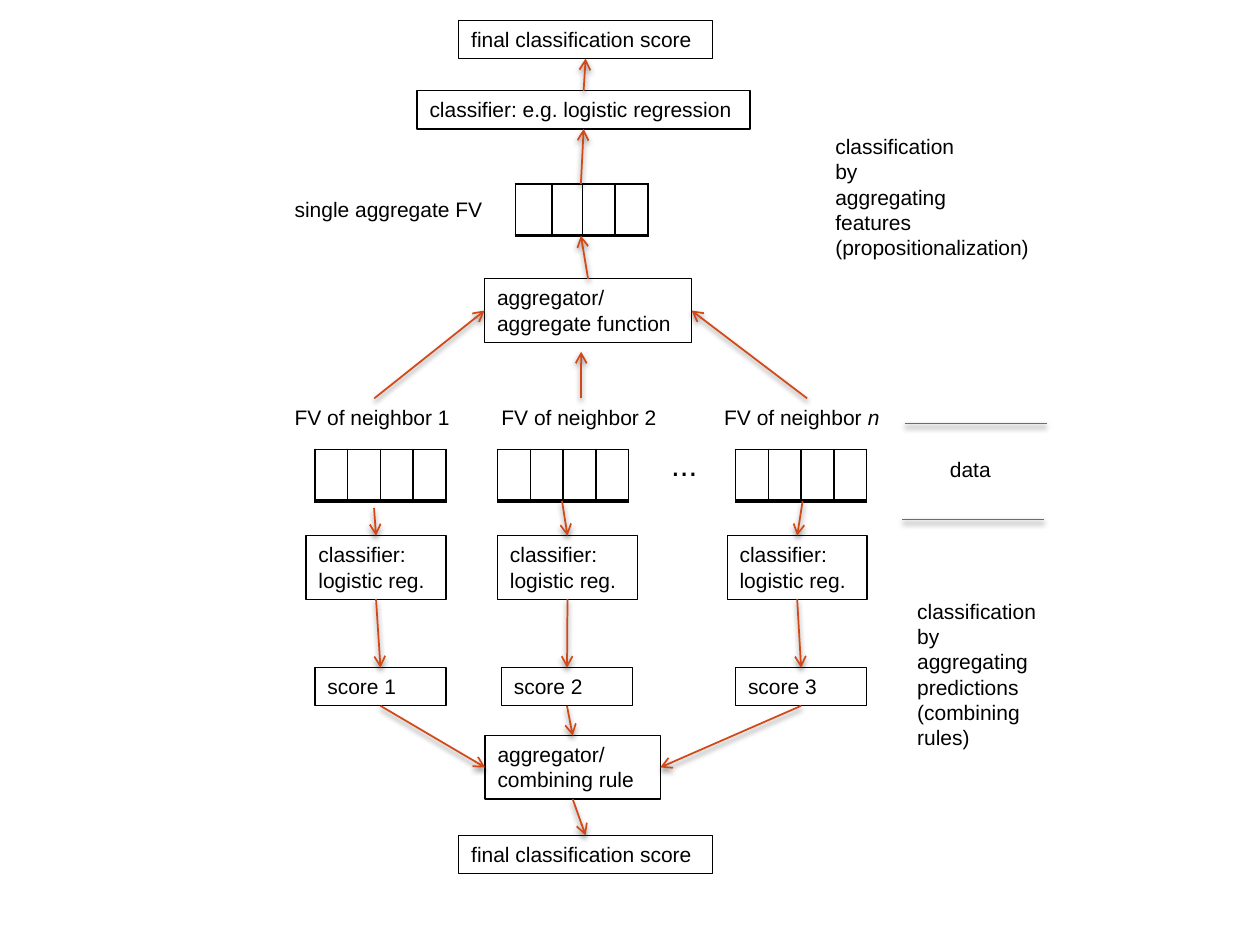
from dataclasses import dataclass

from lxml import etree
from pptx import Presentation
from pptx import util as u
from pptx.dml.color import RGBColor
from pptx.enum import shapes, text
from pptx.oxml import ns

COLORS = {"ink": "000000", "arrow": "D34817", "shadow": "000000"}
FONT = "Arial"
LINE_H, DOUBLE_H, VECTOR_H = 0.77, 1.28, 1.04
VECTOR_W = 2.64
CELLS = 4


@dataclass
class Box:
    """A rectangle in centimetres with its edge midpoints."""
    left: float
    top: float
    width: float
    height: float

    def inner(self, dx, dy, width, height):
        return Box(self.left + dx, self.top + dy, width, height)

    def point(self, fx, fy):
        return self.left + fx * self.width, self.top + fy * self.height

    def cm(self):
        return [u.Cm(v) for v in (self.left, self.top, self.width, self.height)]


TOP, BOTTOM, LEFT, RIGHT = (0.5, 0), (0.5, 1), (0, 0.5), (1, 0.5)


def write(frame, lines, size=12, wrap=True):
    """Fill a text frame; a line is a string or a list of (text, italic) runs."""
    frame.word_wrap = wrap
    frame.vertical_anchor = text.MSO_ANCHOR.TOP
    for index, line in enumerate(lines):
        paragraph = frame.paragraphs[0] if index == 0 else frame.add_paragraph()
        paragraph.alignment = text.PP_ALIGN.LEFT
        for content, italic in [(line, False)] if isinstance(line, str) else line:
            run = paragraph.add_run()
            run.text = content
            run.font.name = FONT
            run.font.size = u.Pt(size)
            run.font.color.rgb = RGBColor.from_string(COLORS["ink"])
            if italic:
                run.font.italic = True


def label(slide, box, *lines, **style):
    """Place plain text in the box."""
    write(slide.shapes.add_textbox(*box.cm()).text_frame, lines, **style)
    return box


def step(slide, box, *lines):
    """Place an outlined process step in the box."""
    shape = slide.shapes.add_shape(shapes.MSO_SHAPE.RECTANGLE, *box.cm())
    shape.shadow.inherit = False
    shape.fill.background()
    shape.line.color.rgb = RGBColor.from_string(COLORS["ink"])
    shape.line.width = u.Pt(0.75)
    write(shape.text_frame, lines)
    return box


def vector(slide, box, widths=None):
    """Place a feature vector as a one-row table in the box."""
    table = slide.shapes.add_table(1, CELLS, *box.cm()).table
    table.first_row = table.horz_banding = False
    for column, width in zip(table.columns, widths or [box.width / CELLS] * CELLS):
        column.width = u.Cm(width)
    for cell in table.rows[0].cells:
        cell.fill.background()
        properties = cell._tc.get_or_add_tcPr()
        for index, (side, points) in enumerate(
                [("lnL", 1), ("lnR", 1), ("lnT", 1), ("lnB", 2)]):
            border = etree.Element(ns.qn("a:" + side), w=str(u.Pt(points)))
            fill = etree.SubElement(border, ns.qn("a:solidFill"))
            etree.SubElement(fill, ns.qn("a:srgbClr"), val=COLORS["ink"])
            properties.insert(index, border)
    return box


def line(slide, start, end, arrow=True):
    """Draw a softly shadowed line between two points, with an optional head."""
    connector = slide.shapes.add_connector(
        shapes.MSO_CONNECTOR.STRAIGHT, *[u.Cm(v) for v in (*start, *end)])
    connector.line.color.rgb = RGBColor.from_string(COLORS["arrow"])
    connector.line.width = u.Pt(1)
    if arrow:
        etree.SubElement(connector.line._get_or_add_ln(), ns.qn("a:tailEnd"),
                         type="arrow")
    effects = etree.SubElement(connector._element.spPr, ns.qn("a:effectLst"))
    shadow = etree.SubElement(effects, ns.qn("a:outerShdw"), blurRad=str(u.Pt(3)),
                              dist=str(u.Pt(2)), dir="5400000", rotWithShape="0")
    color = etree.SubElement(shadow, ns.qn("a:srgbClr"), val=COLORS["shadow"])
    etree.SubElement(color, ns.qn("a:alpha"), val="50000")


def feature_region(slide, box):
    """Build the upward flow over aggregated features; return the aggregator."""
    score = step(slide, box.inner(3.56, 0, 5.11, LINE_H), "final classification score")
    classifier = step(slide, box.inner(2.72, 1.42, 6.71, LINE_H),
                      "classifier: e.g. logistic regression")
    label(slide, box.inner(0, 3.43, 4.42, LINE_H), "single aggregate FV")
    aggregate = vector(slide, box.inner(4.7, 3.3, VECTOR_W, VECTOR_H),
                       [0.74, 0.58, 0.66, 0.66])
    aggregator = step(slide, box.inner(4.08, 5.21, 4.17, DOUBLE_H),
                      "aggregator/", "aggregate function")
    flow = [aggregator, aggregate, classifier, score]
    for source, target in zip(flow, flow[1:]):
        line(slide, source.point(*TOP), target.point(*BOTTOM))
    return aggregator


def neighbor_column(slide, box, name, number, offsets, exit_point):
    """Build one neighbor from feature vector to score; return label and score."""
    vector_dx, classifier_dx, score_dx = offsets
    heading = label(slide, box.inner(0, 0, box.width, LINE_H),
                    [("FV of neighbor ", False), (name, not name.isdigit())])
    vector(slide, box.inner(vector_dx, 1.03, VECTOR_W, VECTOR_H))
    classifier = step(slide, box.inner(classifier_dx, 2.77, 2.82, DOUBLE_H),
                      "classifier:", "logistic reg. ")
    score = step(slide, box.inner(score_dx, 5.43, VECTOR_W, LINE_H), f"score {number}")
    line(slide, box.inner(*exit_point, 0, 0).point(0, 0), classifier.point(*TOP))
    line(slide, classifier.point(*BOTTOM), score.point(*TOP))
    return heading, score


def prediction_region(slide, box):
    """Build the combining rule and its final score; return the rule."""
    rule = step(slide, box.inner(0.53, 0, 3.53, DOUBLE_H),
                "aggregator/", "combining rule")
    score = step(slide, box.inner(0, 2.01, 5.11, LINE_H), "final classification score")
    line(slide, rule.point(*BOTTOM), score.point(*TOP))
    return rule


def side_notes(slide, box):
    """Name the three levels and rule off the data level."""
    label(slide, box.inner(0, 0, 4.47, 2.82), "classification ", "by", "aggregating",
          "features", "(propositionalization)")
    label(slide, box.inner(2.31, 6.5, 1.57, LINE_H), "data")
    label(slide, box.inner(1.65, 9.37, 3.1, 3.33),
          "classification by aggregating predictions", "(combining rules)")
    for dx, dy in [(1.65, 5.97), (1.6, 7.9)]:
        rule = box.inner(dx, dy, 2.86, 0)
        line(slide, rule.point(*LEFT), rule.point(*RIGHT), arrow=False)


def main():
    """Assemble the slide."""
    presentation = Presentation()
    presentation.slide_width, presentation.slide_height = u.Cm(25.4), u.Cm(19.05)
    slide = presentation.slides.add_slide(presentation.slide_layouts[6])

    aggregator = feature_region(slide, Box(5.69, 0.41, 9.43, 6.49))
    rule = prediction_region(slide, Box(9.25, 14.83, 5.11, 2.78))
    neighbors = [
        (5.69, 3.71, "1", (0.66, 0.48, 0.66), (1.85, 2.21), LEFT),
        (9.86, 3.71, "2", (0.17, 0.17, 0.25), (1.47, 2.07), None),
        (14.35, 3.84, "n", (0.48, 0.31, 0.48), (1.83, 2.07), RIGHT),
    ]
    for number, (left, width, name, offsets, exit_point, side) in enumerate(neighbors, 1):
        heading, score = neighbor_column(
            slide, Box(left, 8.03, width, 6.2), name, number, offsets, exit_point)
        start = heading.point(*TOP)
        entry = aggregator.point(*side) if side else (start[0], 7.09)
        line(slide, start, entry)
        line(slide, score.point(*BOTTOM), rule.point(*(side or TOP)))
    label(slide, Box(13.28, 8.84, 1.04, 1.02), "...", size=18, wrap=False)
    side_notes(slide, Box(16.59, 2.57, 4.75, 12.7))
    presentation.save("out.pptx")


main()
